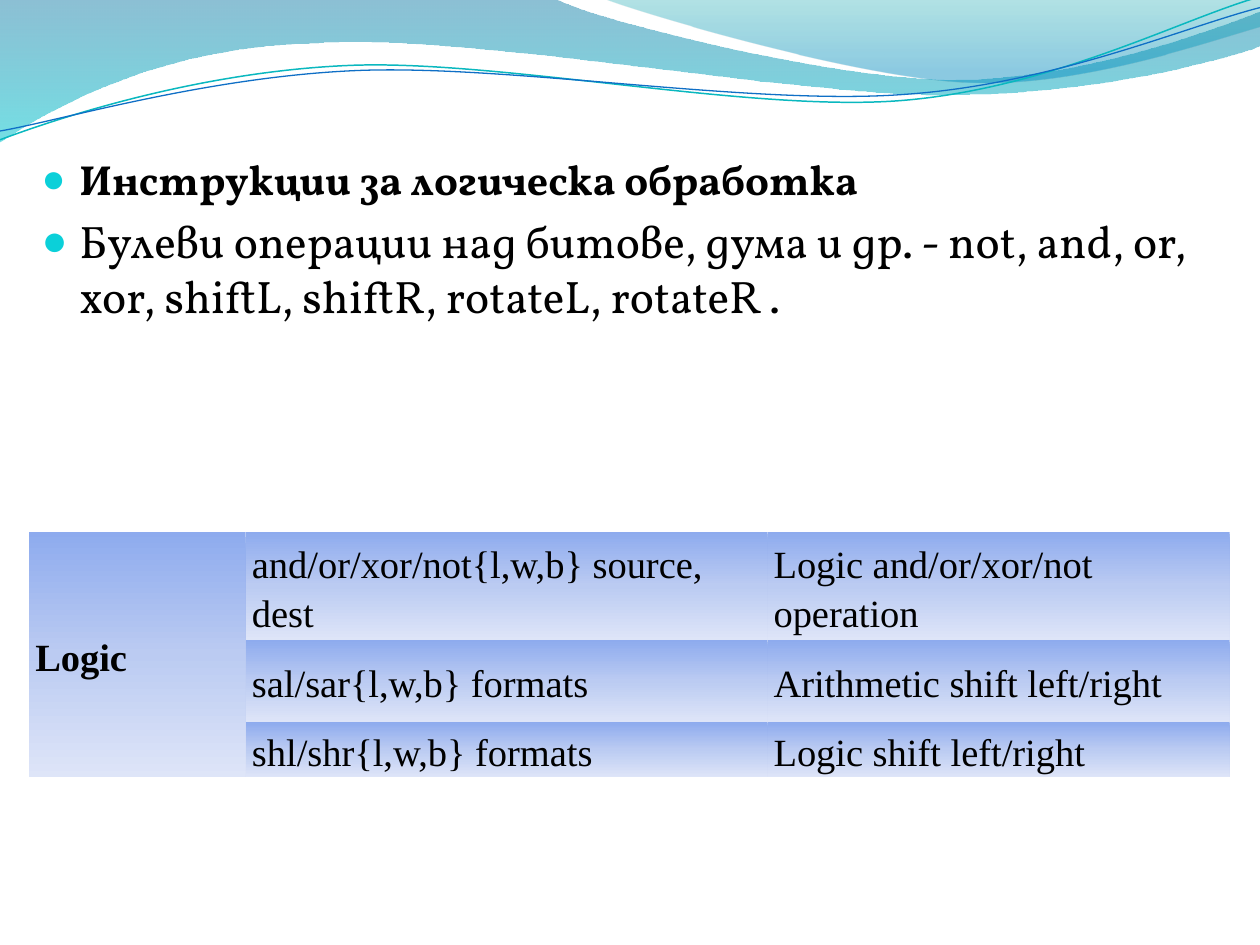
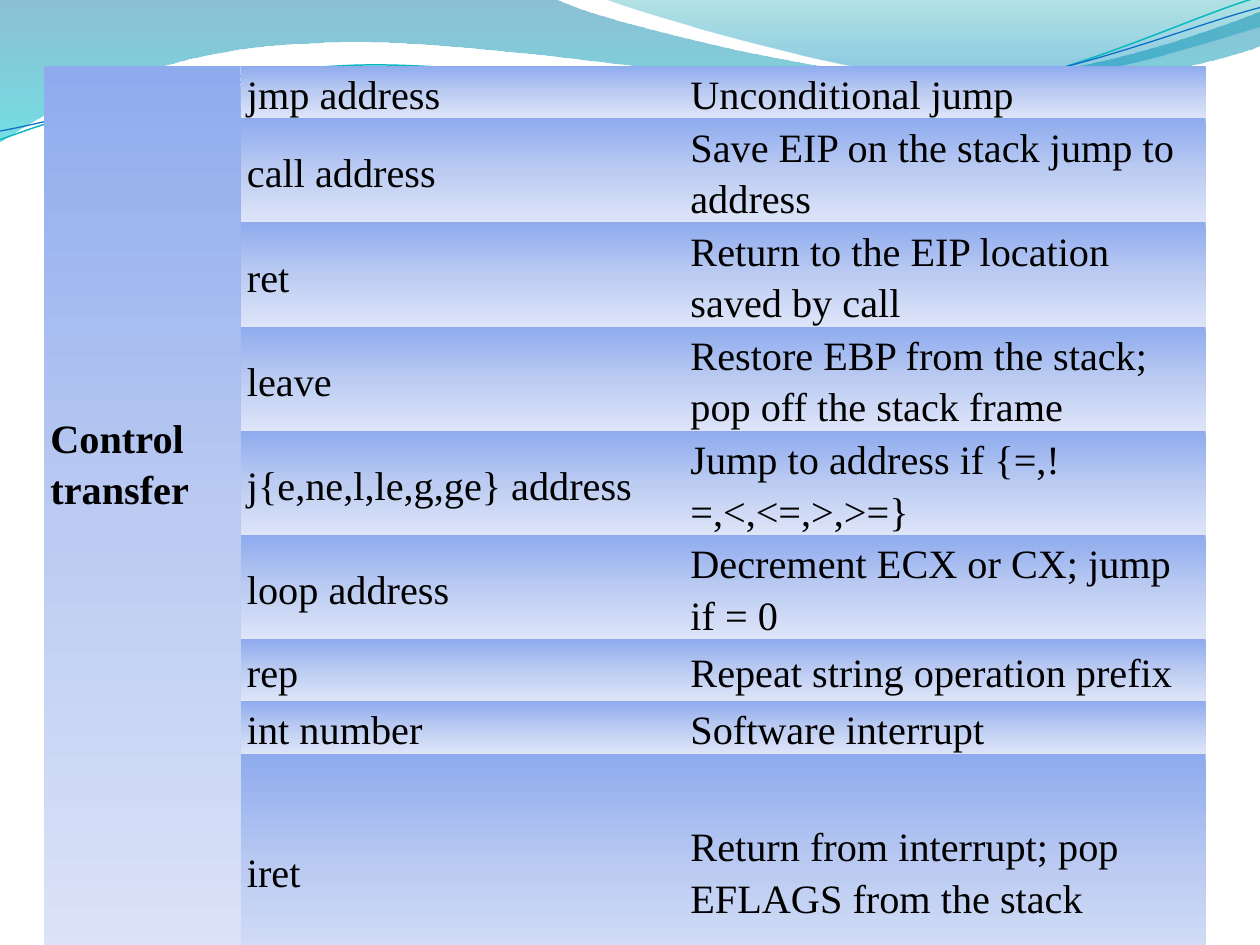
import math
from dataclasses import dataclass

from lxml import etree
from pptx import Presentation
from pptx import util as u
from pptx.dml.color import RGBColor
from pptx.enum import lang, text
from pptx.oxml.ns import qn


@dataclass(frozen=True)
class Theme:
    body_font: str = "Vollkorn"
    table_font: str = "Times New Roman"
    ink: str = "000000"
    bullet: str = "0BD0D9"
    heading_size: int = 24
    body_size: int = 26
    # Gradient stops: position %, colour, opacity %
    cell_stops: tuple = ((0, "8EABEE", 100), (50, "BBCBF2", 100), (100, "DEE5F8", 100))
    wide_wave_stops: tuple = ((0, "0074A1", 45), (100, "00C6CF", 55))
    right_wave_stops: tuple = ((0, "00A1A9", 30), (80, "008BBF", 45))
    teal_line: tuple = ("0AB8BF", 0.85)
    blue_line: tuple = ("0F6FC6", 0.75)


THEME = Theme()
NO_GRID_STYLE = "{2D5ABB26-0587-4C30-8999-92F81FD0307C}"
CURVE_TILT = 357.3


@dataclass(frozen=True)
class Outline:
    """Steps of one point (line) or three (curve), as seen on the slide, in inches."""
    box: tuple
    start: tuple
    steps: tuple
    tilt: float = 0


WIDE_WAVE = Outline((-0.01, -0.01, 10.02, 1.14), (0, 0), (
    [(4.4, -0.01)],
    [(4.76, 0.17), (6.64, 0.63), (7.58, 0.63)],
    [(8.53, 0.63), (9.58, 0.26), (10, 0.09)],
    [(10.01, 0.36)],
    [(9.83, 0.44), (8.7, 0.76), (7.46, 0.75)],
    [(6.22, 0.75), (3.82, 0.28), (2.57, 0.34)],
    [(1.29, 0.36), (0.46, 0.83), (-0.01, 1.13)],
    [(0, 0)]))
RIGHT_WAVE = Outline((4.79, -0.01, 5.21, 0.7), (4.79, -0.01), (
    [(5.09, 0.11), (6.82, 0.62), (7.69, 0.65)],
    [(8.56, 0.69), (9.61, 0.32), (10, 0.21)],
    [(10, 0)],
    [(4.79, -0.01)]))
TEAL_CURVE = Outline((-0.02, 0.22, 10.02, 0.71), (0, 1.11), (
    [(0.48, 0.93), (1.58, 0.57), (2.77, 0.52)],
    [(3.95, 0.47), (5.93, 0.89), (7.13, 0.8)],
    [(8.33, 0.71), (9.38, 0.15), (9.98, -0.02)]), CURVE_TILT)
BLUE_CURVE = Outline((-0.02, 0.3, 10.03, 0.58), (0, 1.04), (
    [(0.47, 0.96), (1.64, 0.61), (2.83, 0.56)],
    [(4.03, 0.51), (5.97, 0.84), (7.17, 0.75)],
    [(8.36, 0.67), (9.41, 0.21), (10, 0.06)]), CURVE_TILT)

LOGIC_ROWS = [
    (0.86, "and/or/xor/not{l,w,b} source, dest", "Logic and/or/xor/not operation"),
    (0.65, "sal/sar{l,w,b} formats", "Arithmetic shift left/right"),
    (0.44, "shl/shr{l,w,b} formats", "Logic shift left/right"),
]
CONTROL_ROWS = [
    (0.4, "jmp address", "Unconditional jump"),
    (0.49, "call address", "Save EIP on the stack jump to address"),
    (0.61, "ret", "Return to the EIP location saved by call"),
    (0.61, "leave", "Restore EBP from the stack; pop off the stack frame"),
    (0.49, "j{e,ne,l,le,g,ge} address", "Jump to address if {=,!=,<,<=,>,>=}"),
    (0.37, "loop address", "Decrement ECX or CX; jump if = 0"),
    (0.49, "rep", "Repeat string operation prefix"),
    (0.25, "int number", "Software interrupt"),
    (0.86, "iret", "Return from interrupt; pop EFLAGS from the stack"),
]


def set_font(paragraph, name, size, bold=False):
    font = paragraph.font
    font.name, font.size, font.bold = name, u.Pt(size), bold
    font.color.rgb = RGBColor.from_string(THEME.ink)


def gradient_fill(fill, properties, stops):
    """Give a shape or a cell a top-to-bottom gradient."""
    fill.background()
    gradient = etree.Element(qn("a:gradFill"), rotWithShape="1")
    stop_list = etree.SubElement(gradient, qn("a:gsLst"))
    for position, colour, opacity in stops:
        stop = etree.SubElement(stop_list, qn("a:gs"), pos=str(position * 1000))
        rgb = etree.SubElement(stop, qn("a:srgbClr"), val=colour)
        if opacity < 100:
            etree.SubElement(rgb, qn("a:alpha"), val=str(opacity * 1000))
    etree.SubElement(gradient, qn("a:lin"), ang="5400000", scaled="0")
    properties.replace(properties.find(qn("a:noFill")), gradient)


def add_outline(slide, outline, close):
    left, top, width, height = outline.box
    middle_x, middle_y = left + width / 2, top + height / 2
    angle = math.radians(-outline.tilt)

    def place(point):
        """Undo the tilt, which the shape's rotation applies again."""
        dx, dy = point[0] - middle_x, point[1] - middle_y
        return (u.Inches(middle_x + dx * math.cos(angle) - dy * math.sin(angle)),
                u.Inches(middle_y + dx * math.sin(angle) + dy * math.cos(angle)))

    builder = slide.shapes.build_freeform(*place(outline.start))
    builder.add_line_segments([place(step[-1]) for step in outline.steps], close=close)
    shape = builder.convert_to_shape()
    shape.shadow.inherit = False
    shape.left, shape.top, shape.width, shape.height = map(u.Inches, outline.box)
    shape.rotation = outline.tilt

    # Measure the outline from its box and bend the three-point steps
    track = shape._element.spPr.find(".//" + qn("a:path"))
    track.set("w", str(shape.width))
    track.set("h", str(shape.height))
    for segment, step in zip(list(track), ([outline.start], *outline.steps)):
        if len(step) == 3:
            segment.tag = qn("a:cubicBezTo")
        for old_point in list(segment):
            segment.remove(old_point)
        for x, y in map(place, step):
            etree.SubElement(segment, qn("a:pt"), x=str(x - shape.left), y=str(y - shape.top))
    return shape


def add_wave_band(slide):
    for outline, stops in ((WIDE_WAVE, THEME.wide_wave_stops),
                           (RIGHT_WAVE, THEME.right_wave_stops)):
        wave = add_outline(slide, outline, close=True)
        gradient_fill(wave.fill, wave._element.spPr, stops)
        wave.line.fill.background()
    for outline, (colour, width) in ((TEAL_CURVE, THEME.teal_line),
                                     (BLUE_CURVE, THEME.blue_line)):
        curve = add_outline(slide, outline, close=False)
        curve.fill.background()
        curve.line.color.rgb = RGBColor.from_string(colour)
        curve.line.width = u.Pt(width)


def add_bullet(paragraph):
    properties = paragraph._p.get_or_add_pPr()
    properties.set("marL", str(u.Inches(0.3)))
    properties.set("indent", str(u.Inches(-0.3)))
    colour = etree.SubElement(properties, qn("a:buClr"))
    etree.SubElement(colour, qn("a:srgbClr"), val=THEME.bullet)
    etree.SubElement(properties, qn("a:buSzPct"), val="95000")
    etree.SubElement(properties, qn("a:buChar"), char="●")


def fill_body(body, heading, explanation):
    body.left, body.top = u.Inches(0.23), u.Inches(1.17)
    body.width, body.height = u.Inches(9.38), u.Inches(2.73)
    frame = body.text_frame
    frame.auto_size = text.MSO_AUTO_SIZE.NONE
    frame.text = f"{heading}\n{explanation}"
    styles = ((THEME.heading_size, True), (THEME.body_size, False))
    for paragraph, (size, bold) in zip(frame.paragraphs, styles):
        add_bullet(paragraph)
        set_font(paragraph, THEME.body_font, size, bold)
        # Bulgarian letter forms
        paragraph.runs[0].font.language_id = lang.MSO_LANGUAGE_ID.BULGARIAN


def fill_cell(cell, words, size, bold=False):
    cell.vertical_anchor = text.MSO_ANCHOR.MIDDLE
    cell.margin_left = u.Inches(0.05)
    cell.margin_right = cell.margin_top = u.Inches(0.01)
    cell.margin_bottom = 0
    cell.text = words
    paragraph = cell.text_frame.paragraphs[0]
    paragraph.line_spacing = 1.15
    set_font(paragraph, THEME.table_font, size, bold)
    gradient_fill(cell.fill, cell._tc.get_or_add_tcPr(), THEME.cell_stops)


def add_instruction_table(slide, left, top, widths, group, rows, size):
    """A table whose first column is one merged cell; returns that cell."""
    heights = [row[0] for row in rows]
    frame = slide.shapes.add_table(
        len(rows), len(widths), u.Inches(left), u.Inches(top),
        u.Inches(sum(widths)), u.Inches(sum(heights)))
    table = frame.table
    table.first_row = table.horz_banding = False
    table._tbl.tblPr.find(qn("a:tableStyleId")).text = NO_GRID_STYLE
    for column, width in zip(table.columns, widths):
        column.width = u.Inches(width)
    for index, (height, *words) in enumerate(rows):
        table.rows[index].height = u.Inches(height)
        for column, entry in enumerate(words, start=1):
            fill_cell(table.cell(index, column), entry, size)
    group_cell = table.cell(0, 0)
    group_cell.merge(table.cell(len(rows) - 1, 0))
    fill_cell(group_cell, group, size, bold=True)
    return group_cell


def main():
    deck = Presentation()
    deck.slide_width, deck.slide_height = u.Inches(10), u.Inches(7.5)
    content_layout, blank_layout = deck.slide_layouts[1], deck.slide_layouts[6]

    # Logic instructions
    logic = deck.slides.add_slide(content_layout)
    title = logic.shapes.title._element
    title.getparent().remove(title)
    add_wave_band(logic)
    fill_body(
        logic.placeholders[1],
        "Инструкции за логическа обработка",
        "Булеви операции над битове, дума и др. - not, and, or, xor, "
        "shiftL, shiftR, rotateL, rotateR .")
    add_instruction_table(logic, 0.23, 4.22, (1.72, 4.14, 3.67), "Logic", LOGIC_ROWS, 22)

    # Control transfer instructions
    control = deck.slides.add_slide(blank_layout)
    add_wave_band(control)
    group_cell = add_instruction_table(
        control, 0.35, 0.52, (1.56, 3.52, 4.14), "Control transfer", CONTROL_ROWS, 23)
    group_cell.margin_bottom = u.Inches(1.02)  # lifts the label above the middle

    deck.save("out.pptx")


if __name__ == "__main__":
    main()
